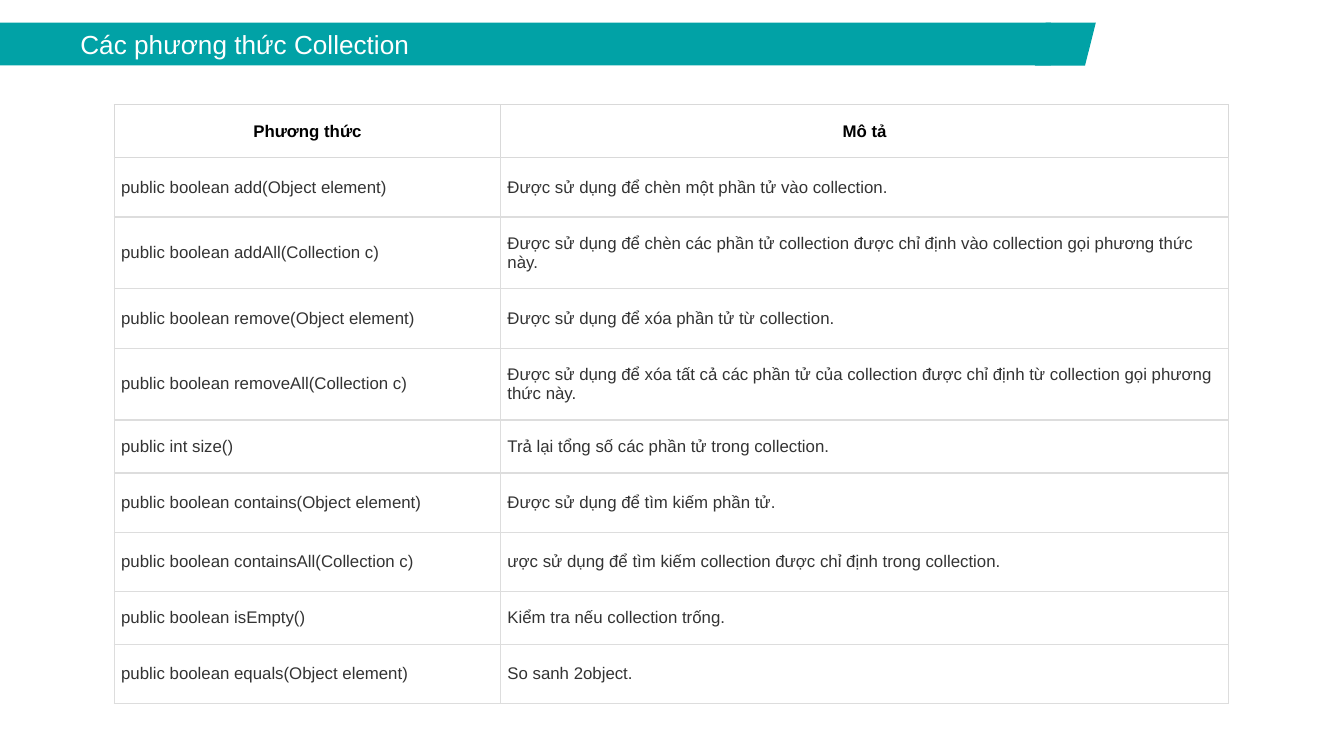
import pptx
import pptx.util
import pptx.dml.color
import pptx.enum.shapes
import pptx.enum.text
import pptx.oxml.ns
from dataclasses import dataclass
from lxml import etree
from pptx.util import Cm


@dataclass(frozen=True)
class Theme:
    teal: str = "01A2A6"
    white: str = "FFFFFF"
    black: str = "000000"
    body: str = "333333"
    head_border: str = "D9D9D9"
    body_border: str = "DDDDDD"
    font: str = "Arial"
    title_size: float = 14
    table_size: float = 9
    border_width: float = 0.75


THEME = Theme()
SHORT, NORMAL, TALL = 1.0, 1.12, 1.36  # row heights in cm

HEADER = ("Phương thức", "Mô tả", SHORT)
METHODS = [
    ("public boolean add(Object element)",
     "Được sử dụng để chèn một phần tử vào collection.", NORMAL),
    ("public boolean addAll(Collection c)",
     "Được sử dụng để chèn các phần tử collection được chỉ định vào collection gọi phương thức này.", TALL),
    ("public boolean remove(Object element)",
     "Được sử dụng để xóa phần tử từ collection.", NORMAL),
    ("public boolean removeAll(Collection c)",
     "Được sử dụng để xóa tất cả các phần tử của collection được chỉ định từ collection gọi phương thức này.", TALL),
    ("public int size()",
     "Trả lại tổng số các phần tử trong collection.", SHORT),
    ("public boolean contains(Object element)",
     "Được sử dụng để tìm kiếm phần tử.", NORMAL),
    ("public boolean containsAll(Collection c)",
     "ược sử dụng để tìm kiếm collection được chỉ định trong collection.", NORMAL),
    ("public boolean isEmpty()",
     "Kiểm tra nếu collection trống.", SHORT),
    ("public boolean equals(Object element)",
     "So sanh 2object.", NORMAL),
]


def set_all(target, values):
    for name, value in values.items():
        setattr(target, name, value)


def write_text(para, text, size, color, bold=False):
    span = para.add_run()
    span.text = text
    set_all(span.font, {"name": THEME.font, "size": pptx.util.Pt(size), "bold": bold})
    span.font.color.rgb = pptx.dml.color.RGBColor.from_string(color)


def add_band(slide, kind, box):
    band = slide.shapes.add_shape(kind, *map(Cm, box))
    band.shadow.inherit = False
    band.fill.solid()
    band.fill.fore_color.rgb = pptx.dml.color.RGBColor.from_string(THEME.teal)
    band.line.fill.background()
    return band


def add_title_bar(slide, box, title):
    left, top, width, height = box
    slant_width = 1.15
    kinds = pptx.enum.shapes.MSO_SHAPE

    # Bar with the title
    bar = add_band(slide, kinds.RECTANGLE, (left, top, width - slant_width + 0.3, height))
    set_all(bar.text_frame, {
        "word_wrap": True,
        "vertical_anchor": pptx.enum.text.MSO_ANCHOR.MIDDLE,
        "margin_left": Cm(0.25), "margin_right": Cm(0.25),
        "margin_top": Cm(0.25), "margin_bottom": Cm(0.25),
    })
    para = bar.text_frame.paragraphs[0]
    para.alignment = pptx.enum.text.PP_ALIGN.LEFT
    para._p.get_or_add_pPr().set("indent", str(Cm(1.27)))
    write_text(para, title, THEME.title_size, THEME.white)

    # Slanted end
    slant = add_band(slide, kinds.PARALLELOGRAM,
                     (left + width - slant_width, top, slant_width, height))
    slant.adjustments[0] = 0.25


def set_borders(cell, sides):
    properties = cell._tc.get_or_add_tcPr()
    for position, (side, color) in enumerate(sides.items()):
        line = etree.Element(pptx.oxml.ns.qn(f"a:ln{side}"),
                             w=str(pptx.util.Pt(THEME.border_width)))
        fill = etree.SubElement(line, pptx.oxml.ns.qn("a:solidFill"))
        etree.SubElement(fill, pptx.oxml.ns.qn("a:srgbClr"), val=color)
        properties.insert(position, line)


def add_method_table(slide, box, column_widths):
    rows = [HEADER, *METHODS]
    table = slide.shapes.add_table(len(rows), len(column_widths), *map(Cm, box)).table
    set_all(table, {"first_row": False, "horz_banding": False})
    for column, width in zip(table.columns, column_widths):
        column.width = Cm(width)

    for row_index, (*texts, height) in enumerate(rows):
        is_header = row_index == 0
        table.rows[row_index].height = Cm(height)
        edge = THEME.head_border if is_header else THEME.body_border
        top_edge = THEME.head_border if row_index <= 1 else THEME.body_border
        for column_index, text in enumerate(texts):
            cell = table.cell(row_index, column_index)
            cell.fill.background()
            set_all(cell, {
                "vertical_anchor": pptx.enum.text.MSO_ANCHOR.MIDDLE,
                "margin_left": Cm(0.13), "margin_right": Cm(0.13),
                "margin_top": Cm(0.13), "margin_bottom": Cm(0.13),
            })
            set_borders(cell, {"L": edge, "R": edge, "T": top_edge, "B": edge})
            para = cell.text_frame.paragraphs[0]
            align = pptx.enum.text.PP_ALIGN
            set_all(para, {
                "alignment": align.CENTER if is_header else align.LEFT,
                "space_after": pptx.util.Pt(11),
            })
            write_text(para, text, THEME.table_size,
                       THEME.black if is_header else THEME.body, is_header)


def main():
    deck = pptx.Presentation()
    set_all(deck, {"slide_width": Cm(25.4), "slide_height": Cm(14.29)})
    slide = deck.slides.add_slide(deck.slide_layouts[6])
    add_title_bar(slide, (0, 0.43, 20.71, 0.81), "Các phương thức Collection")
    add_method_table(slide, (2.16, 1.98, 21.06, 11.32), (7.3, 13.76))
    deck.save("out.pptx")


if __name__ == "__main__":
    main()
